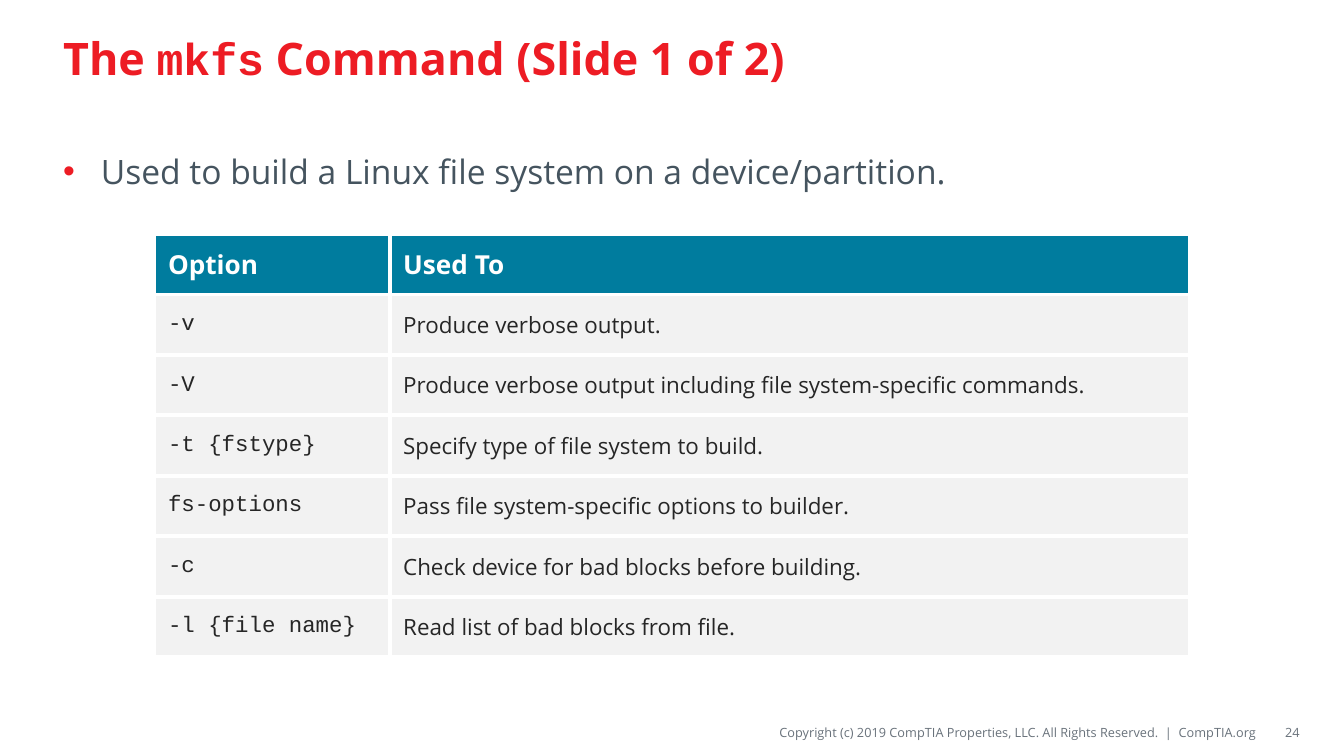
from lxml.etree import SubElement
from pptx import Presentation
from pptx.dml.color import RGBColor
from pptx.enum.text import MSO_ANCHOR, MSO_AUTO_SIZE, PP_ALIGN
from pptx.oxml.ns import qn
from pptx.util import Pt

SANS, MONO = "Open Sans", "Courier New"
RED, TEAL, SLATE, GRAY = "ED1C24", "007C9E", "45545F", "69727B"
WHITE, PALE, DARK = "FFFFFF", "F2F2F2", "262626"

ROWS = [
    ("Option", "Used To"),
    ("-v", "Produce verbose output."),
    ("-V", "Produce verbose output including file system-specific commands."),
    ("-t {fstype}", "Specify type of file system to build."),
    ("fs-options", "Pass file system-specific options to builder."),
    ("-c", "Check device for bad blocks before building."),
    ("-l {file name}", "Read list of bad blocks from file."),
]


def paint(hue):
    return RGBColor.from_string(hue)


def write(para, text, size=12, hue=DARK, face=SANS, bold=False):
    run = para.add_run()
    run.text = text
    font = run.font
    font.size, font.name, font.bold = Pt(size), face, bold
    font.color.rgb = paint(hue)


def place(shape, left, top, width, height):
    shape.left, shape.top = Pt(left), Pt(top)
    shape.width, shape.height = Pt(width), Pt(height)
    frame = shape.text_frame
    frame.word_wrap = True
    frame.auto_size = MSO_AUTO_SIZE.NONE
    return frame


def add_title(slide):
    frame = place(slide.shapes.title, 26.6, 5.8, 666, 49.7)
    frame.vertical_anchor = MSO_ANCHOR.MIDDLE
    para = frame.paragraphs[0]
    para.alignment = PP_ALIGN.LEFT
    for text, face in (("The ", SANS), ("mkfs", MONO),
                       (" Command (Slide 1 of 2)", SANS)):
        write(para, text, size=24, hue=RED, face=face, bold=True)


def add_list(slide, text):
    frame = place(slide.placeholders[1], 26.6, 77, 666, 280.8)
    frame.vertical_anchor = MSO_ANCHOR.TOP
    para = frame.paragraphs[0]
    para.space_before = Pt(0)
    # Hanging red bullet
    props = para._p.get_or_add_pPr()
    props.set("marL", str(Pt(20.2)))
    props.set("indent", str(-Pt(20.2)))
    tint = SubElement(props, qn("a:buClr"))
    SubElement(tint, qn("a:srgbClr"), val=RED)
    SubElement(props, qn("a:buFont"), typeface="Arial")
    SubElement(props, qn("a:buChar"), char="•")
    write(para, text, size=18, hue=SLATE)


def add_edges(cell):
    props = cell._tc.get_or_add_tcPr()
    for side in ("lnL", "lnR", "lnT", "lnB"):
        line = SubElement(props, qn(f"a:{side}"), w=str(Pt(2.25)))
        fill = SubElement(line, qn("a:solidFill"))
        SubElement(fill, qn("a:srgbClr"), val=WHITE)


def add_cell(cell, text, fill, **style):
    add_edges(cell)
    cell.fill.solid()
    cell.fill.fore_color.rgb = paint(fill)
    cell.vertical_anchor = MSO_ANCHOR.MIDDLE
    write(cell.text_frame.paragraphs[0], text, **style)


def add_grid(slide):
    widths, height = (126, 428.8), 32.4
    table = slide.shapes.add_table(
        len(ROWS), len(widths), Pt(82.8), Pt(125.3),
        Pt(sum(widths)), Pt(height * len(ROWS))).table
    for col, width in zip(table.columns, widths):
        col.width = Pt(width)
    for r, texts in enumerate(ROWS):
        table.rows[r].height = Pt(height)
        for c, text in enumerate(texts):
            cell = table.cell(r, c)
            if r == 0:
                add_cell(cell, text, TEAL, size=14, hue=WHITE, bold=True)
            else:
                add_cell(cell, text, PALE, face=SANS if c else MONO)


def add_note(slide, text, left, width):
    box = slide.shapes.add_textbox(0, 0, 0, 0)
    frame = place(box, left, 384.5, width, 15.8)
    frame.vertical_anchor = MSO_ANCHOR.MIDDLE
    frame.margin_left = frame.margin_right = 0
    frame.margin_top = frame.margin_bottom = Pt(3)
    para = frame.paragraphs[0]
    para.alignment = PP_ALIGN.RIGHT
    write(para, text, size=6.8, hue=GRAY)


def main():
    deck = Presentation()
    deck.slide_width, deck.slide_height = Pt(720), Pt(405)
    slide = deck.slides.add_slide(deck.slide_layouts[1])
    add_title(slide)
    add_list(slide, "Used to build a Linux file system on a device/partition.")
    add_grid(slide)
    # Footer line and page number
    add_note(slide, "Copyright (c) 2019 CompTIA Properties, LLC. "
             "All Rights Reserved.\u00a0 |\u00a0 CompTIA.org", 279.4, 393.8)
    add_note(slide, "24", 675.4, 20.9)
    deck.save("out.pptx")


if __name__ == "__main__":
    main()
